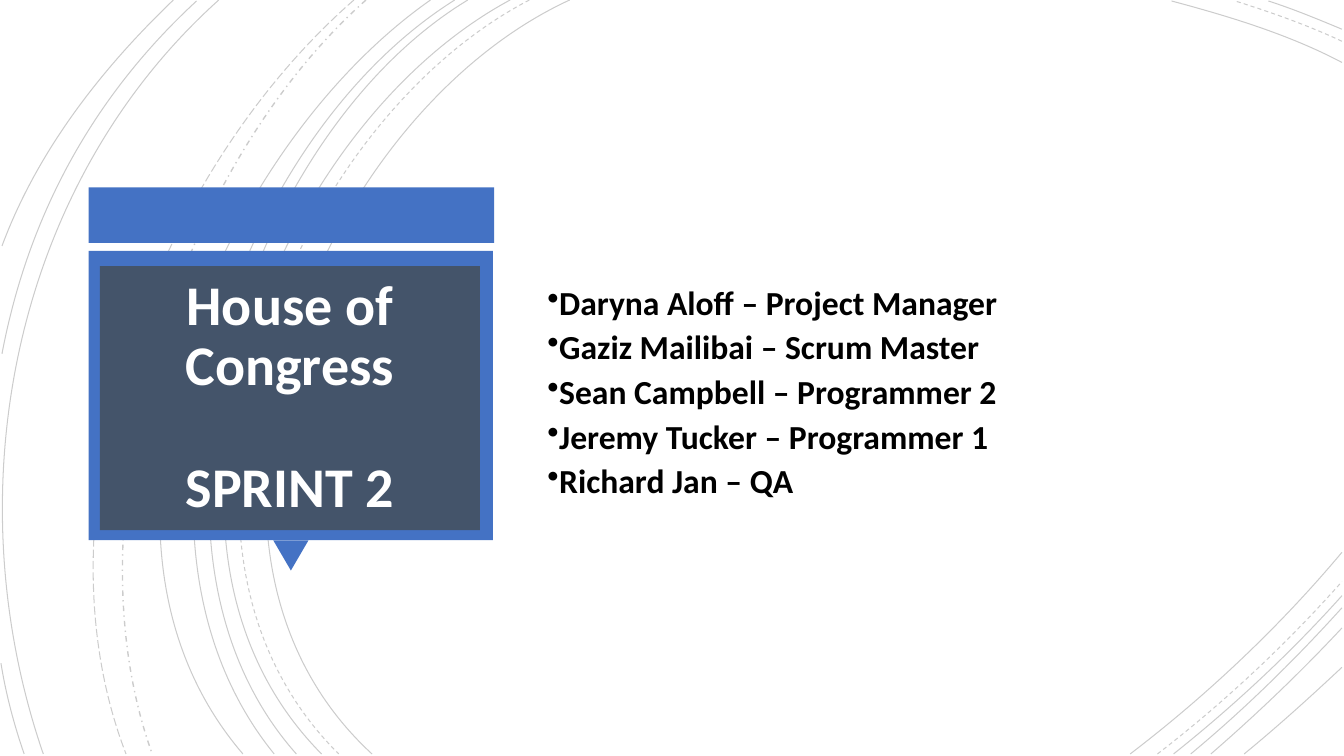
"""Build the House of Congress sprint slide with its curved backdrop."""
from lxml import etree
from pptx import Presentation
from pptx.dml.color import RGBColor
from pptx.enum.dml import MSO_LINE
from pptx.enum.shapes import MSO_SHAPE
from pptx.enum.text import MSO_ANCHOR, PP_ALIGN
from pptx.oxml.ns import qn
from pptx.util import Inches, Pt

SOLID, DASH, LONG, DOT = MSO_LINE.SOLID, MSO_LINE.DASH, MSO_LINE.LONG_DASH, MSO_LINE.DASH_DOT
RECT, TIP = MSO_SHAPE.RECTANGLE, MSO_SHAPE.ISOSCELES_TRIANGLE
MIDDLE, CENTER, LEFT = MSO_ANCHOR.MIDDLE, PP_ALIGN.CENTER, PP_ALIGN.LEFT
COLORS = {"blue": "4472C4", "slate": "44546A", "white": "FFFFFF", "black": "000000"}
FONT = "Calibri"
CELL = Inches(1)
EDGE, BASE = 13.31, 7.48

deck = Presentation()
deck.slide_width, deck.slide_height = Inches(13.33), Inches(7.5)
slide = deck.slides.add_slide(deck.slide_layouts[6])


def grid(*cells):
    return [round(cell * CELL) for cell in cells]


def write(par, text, size, color, align):
    par.text = text
    par.alignment = align
    par.line_spacing = 0.9
    par.font.name, par.font.size, par.font.bold = FONT, Pt(size), True
    par.font.color.rgb = RGBColor.from_string(COLORS[color])


# start x, two control points, end x
sweeps = [
    (5.65, 3.15, 1.15, 1.43, 5.4, 3.69, SOLID),
    (5.25, 2.85, 1.25, 1.23, 5.37, 3.36, DASH),
    (5.06, 2.7, 1.27, 1.1, 5.37, 3.19, SOLID),
    (4.64, 2.44, 1.33, 1.1, 5.41, 2.94, SOLID),
    (4.51, 2.31, 1.38, 0.97, 5.33, 2.72, SOLID),
    (4.27, 2.17, 1.47, 0.53, 5.29, 2.41, SOLID),
    (3.63, 1.76, 1.66, 0.65, 5.09, 1.51, DOT),
    (3.51, 1.57, 1.69, 0.29, 4.99, 1.25, LONG),
    (2.17, 0.11, 1.85, -0.46, 4.9, 0.43, SOLID),
]
tops = [
    (0.62, 12.78, 0.34, 12.18, 0.16, 11.62, SOLID),
    (0.41, 12.97, 0.25, 12.6, 0.12, 12.25, DASH),
    (0.29, 13.07, 0.19, 12.83, 0.09, 12.58, SOLID),
]
feet = [
    (11.21, 11.97, 6.9, 12.69, 6.22, 5.48, SOLID),
    (11.48, 12.13, 6.98, 12.75, 6.4, 5.77, DASH),
    (11.64, 12.23, 7.01, 12.8, 6.48, 5.91, SOLID),
    (11.81, 12.34, 7.04, 12.84, 6.55, 6.03, SOLID),
    (12.01, 12.46, 7.09, 12.9, 6.67, 6.23, SOLID),
    (12.34, 12.67, 7.21, 12.99, 6.92, 6.62, SOLID),
]
curves = [(a, 0, *mid, b, BASE, dash) for a, *mid, b, dash in sweeps]
curves += [(EDGE, a, *mid, b, 0.01, dash) for a, *mid, b, dash in tops]
curves += [(a, BASE, *mid, EDGE, b, dash) for a, *mid, b, dash in feet]
curves += [
    (1.95, 0.01, 0.92, 0.96, 0.28, 2.14, 0.02, 3.51, SOLID),
    (0.01, 6.58, 0.06, 6.89, 0.14, 7.19, 0.24, BASE, SOLID),
    (1.72, 0, 1, 0.69, 0.37, 1.5, 0.02, 2.44, SOLID),
]

rings = slide.shapes.add_group_shape()
for *cells, dash in curves:
    nums = grid(*cells)
    spots = list(zip(nums[::2], nums[1::2]))
    pen = rings.shapes.build_freeform(*spots[0])
    pen.add_line_segments(spots[1:], close=False)
    arc = pen.convert_to_shape()
    arc.shadow.inherit = False
    arc.fill.background()
    arc.line.color.rgb = RGBColor.from_string(COLORS["black"])
    arc.line.width = Pt(1 if dash == DOT else 0.75)
    arc.line.dash_style = dash
    tint = arc._element.xpath(".//a:ln//a:srgbClr")[0]
    etree.SubElement(tint, qn("a:alpha"), val="20000")
    legs = arc._element.xpath(".//a:lnTo")
    bend = etree.SubElement(legs[0].getparent(), qn("a:cubicBezTo"))
    for leg in legs:
        bend.append(leg[0])
        leg.getparent().remove(leg)

frame = slide.shapes.add_group_shape()
blocks = [
    (frame, RECT, "blue", 0.88, 1.86, 4.02, 0.55),
    (frame, TIP, "blue", 2.71, 5.36, 0.35, 0.3),
    (frame, RECT, "blue", 0.88, 2.49, 4.01, 2.87),
    (slide, RECT, "slate", 0.99, 2.64, 3.77, 2.62),
]
for home, kind, color, *cells in blocks:
    block = home.shapes.add_shape(kind, *grid(*cells))
    block.shadow.inherit = False
    block.fill.solid()
    block.fill.fore_color.rgb = RGBColor.from_string(COLORS[color])
    block.line.fill.background()
    block.rotation = 180 if kind == TIP else 0

title = block.text_frame
title.word_wrap = True
title.vertical_anchor = MIDDLE
write(title.paragraphs[0], "House of Congress", 40, "white", CENTER)
sprint = title.add_paragraph()
write(sprint, "SPRINT 2", 40, "white", CENTER)
sprint.space_before = Pt(44)

team = [
    "Daryna Aloff – Project Manager",
    "Gaziz Mailibai – Scrum Master",
    "Sean Campbell – Programmer 2",
    "Jeremy Tucker – Programmer 1",
    "Richard Jan – QA",
]
roster = slide.shapes.add_textbox(*grid(5.33, 0.85, 7.14, 6.11)).text_frame
roster.word_wrap = True
roster.vertical_anchor = MIDDLE
for row, name in enumerate(team):
    par = roster.add_paragraph() if row else roster.paragraphs[0]
    write(par, name, 24, "black", LEFT)
    par.space_after = Pt(6)
    props = par._p.get_or_add_pPr()
    props.set("marL", "0")
    props.set("indent", str(-Inches(0.25)))
    mark = props.makeelement(qn("a:buChar"), {"char": "•"})
    props.find(qn("a:defRPr")).addprevious(mark)

deck.save("out.pptx")
